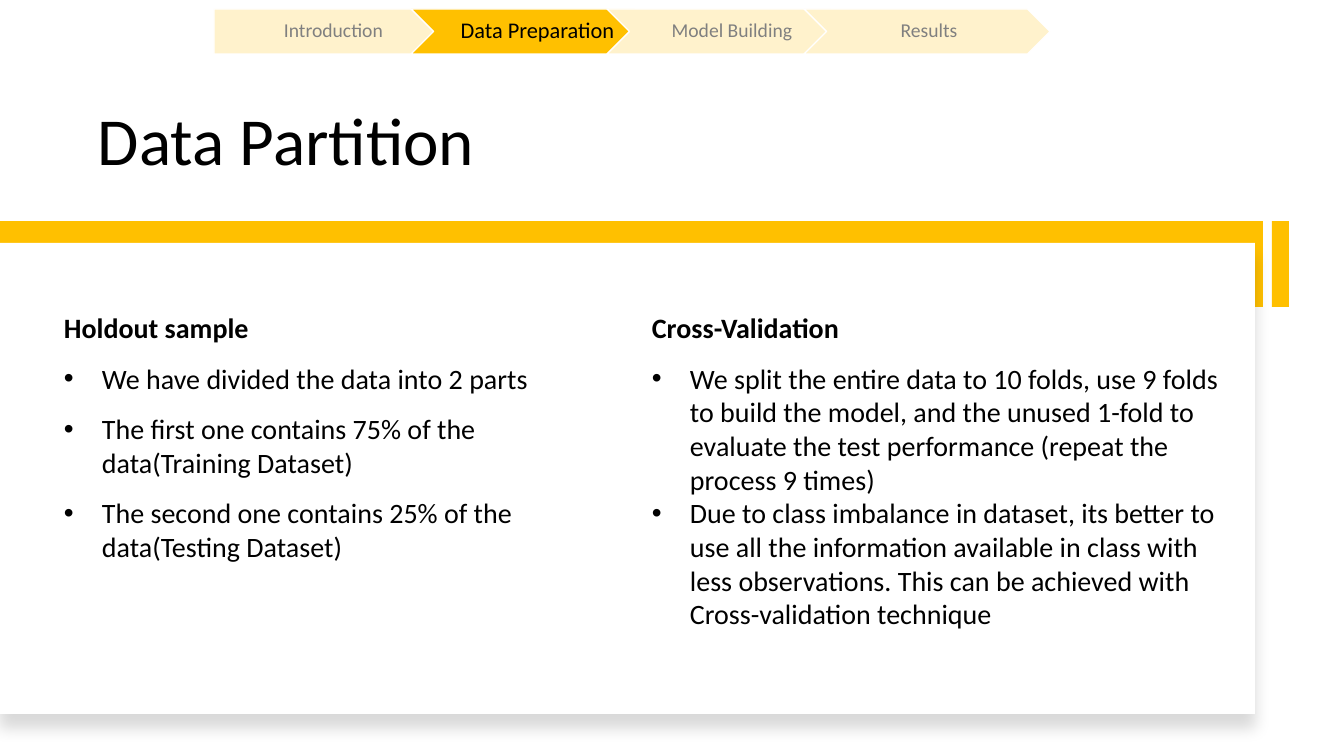
from pptx import Presentation
from pptx.dml.color import RGBColor as RGB
from pptx.enum.shapes import MSO_SHAPE as Shape
from pptx.enum.text import MSO_ANCHOR as Anchor, PP_ALIGN as Align
from pptx.oxml import parse_xml as to_xml
from pptx.oxml.ns import nsdecls as names
from pptx.util import Emu, Pt

GOLD, CREAM, WHITE, GREY, BLACK = "FFC000", "FFF2CC", "FFFFFF", "808080", "000000"
FACE = "Calibri"
STEPS = ["Introduction", "Data Preparation", "Model Building", "Results"]
HOLD = [
    "We have divided the data into 2 parts",
    "The first one contains 75% of the data(Training Dataset)",
    "The second one contains 25% of the data(Testing Dataset)",
]
CROSS = [
    "We split the entire data to 10 folds, use 9 folds to build the model, and the "
    "unused 1-fold to evaluate the test performance (repeat the process 9 times)",
    "Due to class imbalance in dataset, its better to use all the information available "
    "in class with less observations. This can be achieved with Cross-validation technique",
]


def px(n):
    """Turn pixels into EMU."""
    return Emu(round(n * 914400 / 100.8))


def tint(code):
    """Turn a hex string into a colour."""
    return RGB.from_string(code)


def apply(item, look):
    """Set each attribute named in a dict."""
    for key, value in look.items():
        setattr(item, key, value)


def block(slide, kind, box, fill, edge=None):
    """Draw a filled shape, with a thin outline if an edge colour is given."""
    item = slide.shapes.add_shape(kind, *map(px, box))
    item.shadow.inherit = False
    item.fill.solid()
    item.fill.fore_color.rgb = tint(fill)
    if edge:
        item.line.color.rgb = tint(edge)
        item.line.width = Pt(1)
    else:
        item.line.fill.background()
    return item


def frame(slide, box, **look):
    """Add a wrapping text box and return its frame."""
    text = slide.shapes.add_textbox(*map(px, box)).text_frame
    apply(text, {"word_wrap": True, **look})
    return text


def write(para, words, size, color=BLACK, bold=False, **look):
    """Put one styled run in a paragraph."""
    run = para.add_run()
    run.text = words
    apply(run.font, {"name": FACE, "size": Pt(size), "bold": bold})
    run.font.color.rgb = tint(color)
    apply(para, look)


def bullet(para, indent):
    """Give a paragraph a hanging round bullet."""
    props = para._p.get_or_add_pPr()
    props.set("marL", str(px(indent)))
    props.set("indent", str(-px(indent)))
    props.append(to_xml(f'<a:buFont {names("a")} typeface="Arial"/>'))
    props.append(to_xml(f'<a:buChar {names("a")} char="•"/>'))


def shade(item):
    """Cast a soft shadow straight down."""
    props = item._element.spPr
    props.remove(props.find("{*}effectLst"))
    props.append(to_xml(
        f'<a:effectLst {names("a")}><a:outerShdw blurRad="{Pt(11)}" dist="{Pt(10)}" '
        f'dir="5400000" algn="t" rotWithShape="0"><a:srgbClr val="{BLACK}">'
        '<a:alpha val="15000"/></a:srgbClr></a:outerShdw></a:effectLst>'))


def track(slide, box, steps, now):
    """Draw the row of step arrows, with the current one lit."""
    left, top, width, height = box
    point = height // 2 + 1
    wide = 246
    pitch = (width - wide) / (len(steps) - 1)
    for i, step in enumerate(steps):
        x = left + round(i * pitch)
        lit = i == now
        kind = Shape.CHEVRON if i else Shape.PENTAGON
        block(slide, kind, (x, top, wide, height), GOLD if lit else CREAM, WHITE)
        area = (x + point, top, 200, height) if i else (x, top, 235, height)
        text = frame(slide, area, vertical_anchor=Anchor.MIDDLE,
                     margin_left=px(9 if lit else 6), margin_right=px(2),
                     margin_top=px(4), margin_bottom=px(4))
        write(text.paragraphs[0], step, 16 if lit else 14, BLACK if lit else GREY,
              alignment=Align.CENTER, line_spacing=0.9)


def title(slide, box, words):
    """Set the slide title at the foot of its box."""
    text = frame(slide, box, vertical_anchor=Anchor.BOTTOM)
    write(text.paragraphs[0], words, 48, line_spacing=0.9)


def panel(slide, box):
    """Draw the gold band, the white card over it and the tab beside it."""
    left, top, width, height = box
    deep, tab = 86, 17
    block(slide, Shape.RECTANGLE, (left, top, width - 26, deep), GOLD)
    shade(block(slide, Shape.RECTANGLE, (left, top + 22, width - 34, height - 22), WHITE))
    block(slide, Shape.RECTANGLE, (left + width - tab, top, tab, deep), GOLD)


def column(slide, box, head, points, gap):
    """Write a bold heading with bullets, gap points apart."""
    text = frame(slide, box)
    write(text.paragraphs[0], head, 20, bold=True, space_after=Pt(12))
    for point in points:
        para = text.add_paragraph()
        write(para, point, 20, space_after=Pt(gap))
        bullet(para, 38)


def build():
    """Build the slide and save it."""
    deck = Presentation()
    apply(deck, {"slide_width": px(1344), "slide_height": px(756)})
    slide = deck.slides.add_slide(deck.slide_layouts[6])
    title(slide, (88, 42, 1110, 143), "Data Partition")
    panel(slide, (0, 221, 1289, 493))
    column(slide, (54, 306, 541, 265), "Holdout sample", HOLD, 12)
    column(slide, (642, 306, 613, 367), "Cross-Validation", CROSS, 0)
    track(slide, (214, 9, 836, 45), STEPS, 1)
    deck.save("out.pptx")


build()
